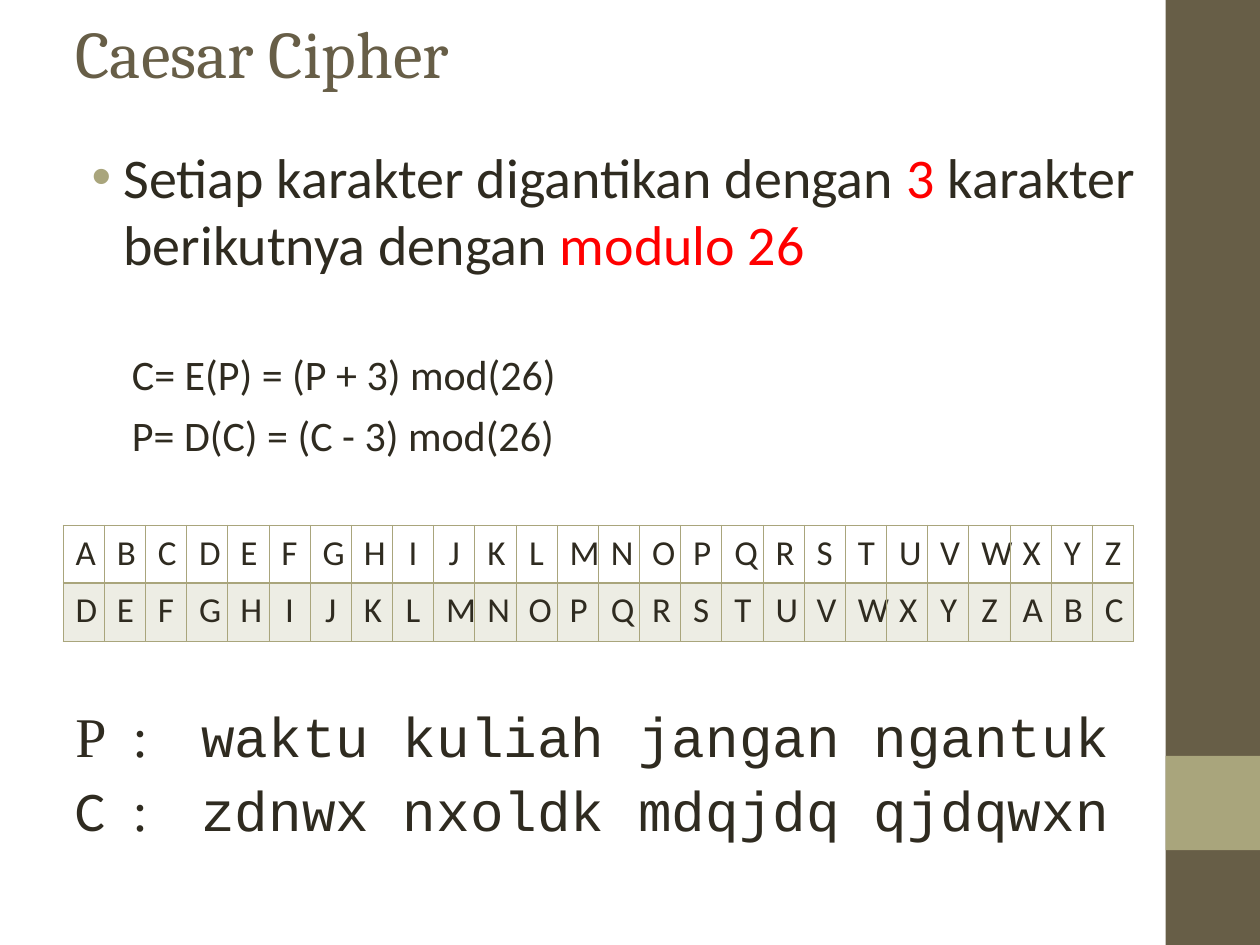
from lxml import etree
from pptx import Presentation
from pptx.dml.color import RGBColor
from pptx.enum.shapes import MSO_SHAPE
from pptx.enum.text import MSO_ANCHOR, PP_ALIGN
from pptx.oxml.ns import qn
from pptx.util import Cm, Pt

RECTANGLE = MSO_SHAPE.RECTANGLE
TOP = MSO_ANCHOR.TOP
CENTER = PP_ALIGN.CENTER

# Content
BROWN, OLIVE, INK, RED = "675E47", "A9A57C", "2F2B20", "FF0000"
BODY, SERIF, MONO = "Calibri", "Times New Roman", "Courier New"
SHIFT = 3
ALPHABET = "ABCDEFGHIJKLMNOPQRSTUVWXYZ"
CIPHER_ROWS = [ALPHABET, ALPHABET[SHIFT:] + ALPHABET[:SHIFT]]

# Sidebar: left, top, width, height, colour
SIDEBAR = [
    (23.5, 0, 1.9, 19.05, BROWN),
    (23.5, 15.24, 1.9, 1.9, OLIVE),
]

# Runs: text, font, size, colour
TITLE = [{"runs": [("Caesar Cipher", "Cambria", 38, BROWN)],
          "format": {"line_spacing": 0.8}}]

RULE = [
    {"runs": [("Setiap karakter digantikan dengan ", BODY, 32, INK),
              ("3 ", BODY, 32, RED),
              ("karakter berikutnya dengan ", BODY, 32, INK),
              ("modulo 26", BODY, 32, RED)],
     "format": {"space_before": Pt(8)}, "indent": (0.97, -0.64), "bullet": "•"},
    {"runs": [("C= E(P) = (P + 3) mod(26)", BODY, 24, INK)],
     "format": {"space_before": Pt(41.3), "level": 1}, "indent": (1.78, -0.64)},
    {"runs": [("P= D(C) = (C - 3) mod(26)", BODY, 24, INK)],
     "format": {"space_before": Pt(6), "level": 1}, "indent": (1.78, -0.64)},
]

EXAMPLE = [
    {"runs": [(label + "\t", label_font, 32, INK), (":\t", SERIF, 32, INK),
              (message, MONO, 32, INK)],
     "format": {"line_spacing": 0.9, "space_before": Pt(8)}, "tabs": (1.15, 2.54)}
    for label, label_font, message in [
        ("P", SERIF, "waktu kuliah jangan ngantuk"),
        ("C", BODY, "zdnwx nxoldk mdqjdq qjdqwxn"),
    ]
]

# Text boxes: left, top, width, height, paragraphs
TEXT_BOXES = [
    (1.27, 0.43, 22.02, 1.57, TITLE),
    (1.27, 2.74, 22.02, 7.19, RULE),
    (1.27, 14.17, 22.02, 3.18, EXAMPLE),
]

TABLE_BOX = (1.27, 10.59, 21.59, 2.33)
THIN, THICK = 0.45, 0.96


def color(value):
    return RGBColor.from_string(value)


def add_run(paragraph, text, font, size, run_color):
    run = paragraph.add_run()
    run.text = text
    for name, value in {"name": font, "size": Pt(size)}.items():
        setattr(run.font, name, value)
    run.font.color.rgb = color(run_color)


def add_indent(paragraph, left, first_line, bullet=None):
    properties = paragraph._p.get_or_add_pPr()
    properties.set("marL", str(Cm(left)))
    properties.set("indent", str(Cm(first_line)))
    if bullet:
        bullet_color = etree.SubElement(properties, qn("a:buClr"))
        etree.SubElement(bullet_color, qn("a:srgbClr"), val=OLIVE)
        etree.SubElement(properties, qn("a:buFont"), typeface="Arial")
        etree.SubElement(properties, qn("a:buChar"), char=bullet)
    else:
        etree.SubElement(properties, qn("a:buNone"))


def add_tabs(paragraph, positions):
    tab_list = etree.SubElement(paragraph._p.get_or_add_pPr(), qn("a:tabLst"))
    for position in positions:
        etree.SubElement(tab_list, qn("a:tab"), pos=str(Cm(position)), algn="l")


def add_text_box(slide, left, top, width, height, paragraphs):
    shape = slide.shapes.add_textbox(Cm(left), Cm(top), Cm(width), Cm(height))
    frame = shape.text_frame
    for name, value in {"word_wrap": True, "vertical_anchor": TOP}.items():
        setattr(frame, name, value)
    for index, item in enumerate(paragraphs):
        paragraph = frame.add_paragraph() if index else frame.paragraphs[0]
        for name, value in item["format"].items():
            setattr(paragraph, name, value)
        if "indent" in item:
            add_indent(paragraph, *item["indent"], item.get("bullet"))
        if "tabs" in item:
            add_tabs(paragraph, item["tabs"])
        for run in item["runs"]:
            add_run(paragraph, *run)


def add_borders(cell, widths):
    properties = cell._tc.get_or_add_tcPr()
    for index, (side, width) in enumerate(widths.items()):
        line = etree.Element(qn(f"a:ln{side}"), w=str(Pt(width)))
        fill = etree.SubElement(line, qn("a:solidFill"))
        etree.SubElement(fill, qn("a:srgbClr"), val=OLIVE)
        properties.insert(index, line)


def fill_cell(cell, shaded):
    if not shaded:
        cell.fill.background()
        return
    cell.fill.solid()
    cell.fill.fore_color.rgb = color(OLIVE)
    fill_color = cell._tc.tcPr.find(".//" + qn("a:srgbClr"))
    etree.SubElement(fill_color, qn("a:alpha"), val="20000")


def add_cipher_table(slide):
    left, top, width, height = map(Cm, TABLE_BOX)
    table = slide.shapes.add_table(
        len(CIPHER_ROWS), len(ALPHABET), left, top, width, height).table
    for name in ("first_row", "horz_banding"):
        setattr(table, name, False)
    for column in table.columns:
        column.width = width // len(ALPHABET)
    for row_index, letters in enumerate(CIPHER_ROWS):
        shaded = row_index == 1
        widths = {"L": THIN, "R": THIN,
                  "T": THICK if shaded else THIN,
                  "B": THIN if shaded else THICK}
        for column_index, letter in enumerate(letters):
            cell = table.cell(row_index, column_index)
            paragraph = cell.text_frame.paragraphs[0]
            paragraph.alignment = CENTER
            add_run(paragraph, letter, BODY, 20, INK)
            fill_cell(cell, shaded)
            add_borders(cell, widths)


def main():
    presentation = Presentation()
    presentation.slide_width, presentation.slide_height = Cm(25.4), Cm(19.05)
    slide = presentation.slides.add_slide(presentation.slide_layouts[6])

    # Sidebar
    for *box, fill in SIDEBAR:
        shape = slide.shapes.add_shape(RECTANGLE, *map(Cm, box))
        shape.shadow.inherit = False
        shape.fill.solid()
        shape.fill.fore_color.rgb = color(fill)
        shape.line.fill.background()

    # Title, rule and example around the cipher table
    for box in TEXT_BOXES:
        add_text_box(slide, *box)
    add_cipher_table(slide)

    presentation.save("out.pptx")


if __name__ == "__main__":
    main()
